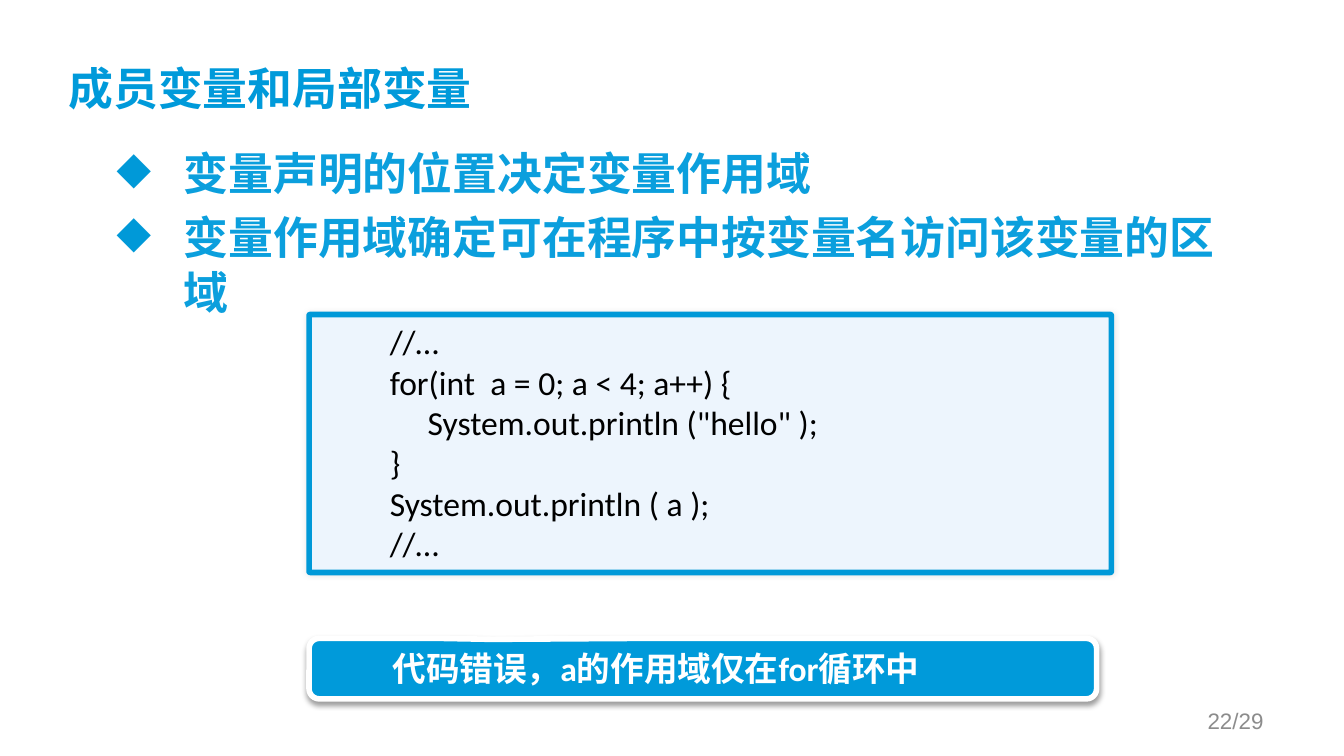
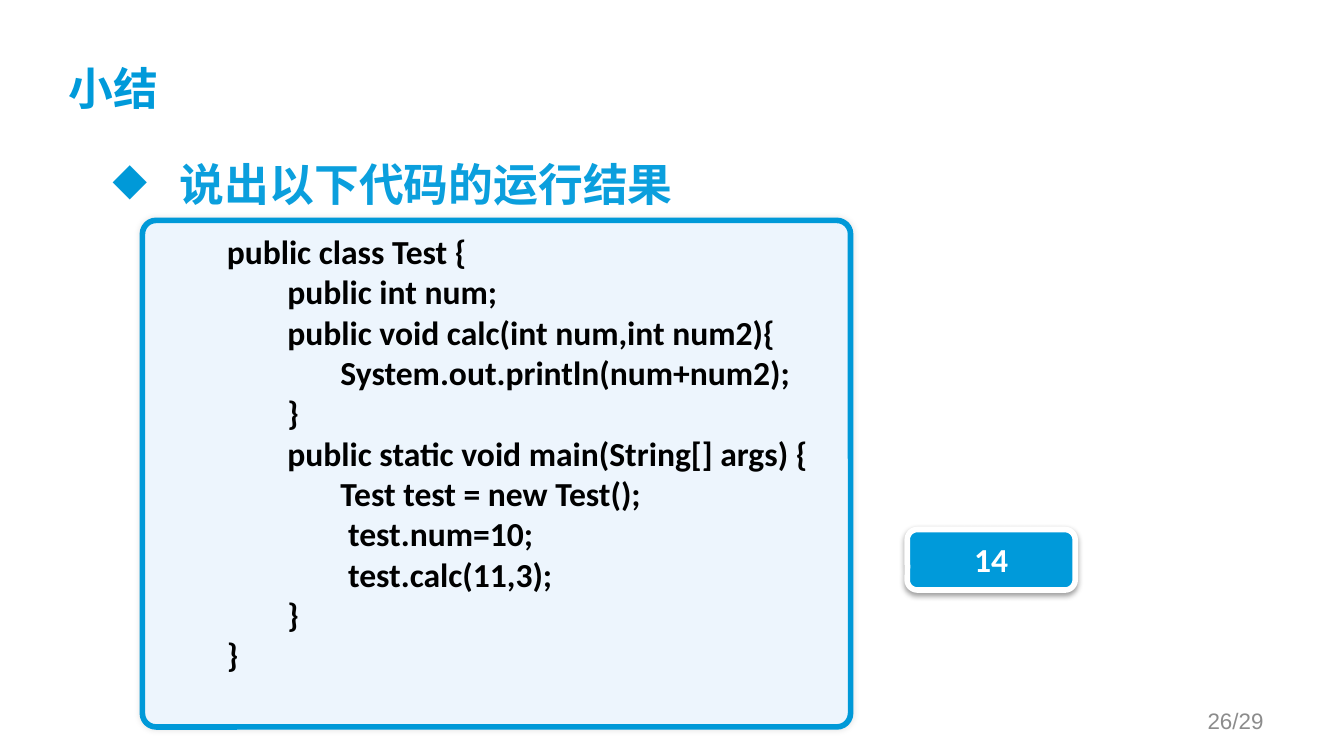
from pptx import Presentation
from pptx.dml.color import RGBColor
from pptx.enum.shapes import MSO_SHAPE
from pptx.enum.text import MSO_ANCHOR, PP_ALIGN
from pptx.oxml import parse_xml
from pptx.oxml.ns import nsdecls
from pptx.util import Pt

HUES = {"title": "009ADA", "point": "0B9FDD", "edge": "0099D8", "code": "EDF5FD",
        "ink": "000000", "white": "FFFFFF", "page": "8C8C8C"}
HAN, LATIN = "Noto Sans CJK SC", "Calibri"

# Boxes are left, top, width, height in points
SLIDES = [
    {
        "title": "成员变量和局部变量",
        "page": "22/29",
        "points": ["变量声明的位置决定变量作用域",
                   "变量作用域确定可在程序中按变量名访问该变量的区域"],
        "list": (55.4, 74.2, 611.3, 267),
        "code": """//…
for(int  a = 0; a < 4; a++) {
     System.out.println ("hello" );
}
System.out.println ( a );
//…""",
        "panel": (165.6, 168.5, 429.8, 138.2),
        "round": 0.004,
        "bold": False,
        "answer": "代码错误，a的作用域仅在for循环中",
        "badge": (165.6, 342, 421.9, 32.4),
        "tail": (-0.268, -0.484, 0.167),
        "align": PP_ALIGN.LEFT,
        "margin": 36,
    },
    {
        "title": "小结",
        "page": "26/29",
        "points": ["说出以下代码的运行结果"],
        "list": (53.3, 79.9, 611.3, 38.2),
        "code": """public class Test {
        public int num;
        public void calc(int num,int num2){
               System.out.println(num+num2);
        }
        public static void main(String[] args) {
               Test test = new Test();
                test.num=10;
                test.calc(11,3);
        }
}""",
        "panel": (76.3, 118.1, 379.4, 271.4),
        "round": 0.027,
        "bold": True,
        "answer": "14",
        "badge": (486, 283.7, 90, 32.4),
        "tail": (-0.498, 0.086, 0.167),
        "align": PP_ALIGN.CENTER,
        "margin": 0,
    },
]


def write(shape, lines, size, hue, face, bold=False, align=PP_ALIGN.LEFT,
          margin=0, bullet=False, anchor=MSO_ANCHOR.TOP):
    """Fill a shape with paragraphs of one style."""
    frame = shape.text_frame
    frame.word_wrap = True
    frame.vertical_anchor = anchor
    for i, line in enumerate(lines):
        para = frame.paragraphs[0] if i == 0 else frame.add_paragraph()
        para.add_run().text = line
        para.alignment = align
        props = para._p.get_or_add_pPr()
        props.set("marL", str(Pt(margin)))
        props.set("indent", str(Pt(-margin if bullet else 0)))
        if bullet:
            para.line_spacing = Pt(29.3)
            if i:
                para.space_before = Pt(4.8)
            props.append(parse_xml(f'<a:buClr {nsdecls("a")}><a:srgbClr val="{HUES["edge"]}"/></a:buClr>'))
            props.append(parse_xml(f'<a:buChar {nsdecls("a")} char="◆"/>'))
        font = para.font
        font.size, font.bold, font.name = Pt(size), bold, face
        font.color.rgb = RGBColor.from_string(HUES[hue])
        east = HAN if face == LATIN else face
        props.find("{*}defRPr").append(parse_xml(f'<a:ea {nsdecls("a")} typeface="{east}"/>'))


def block(slide, kind, box, tweaks, fill, edge, alpha, blur, dist):
    """Add a filled, outlined shape with a soft shadow."""
    shape = slide.shapes.add_shape(kind, *map(Pt, box))
    for i, value in enumerate(tweaks):
        shape.adjustments[i] = value
    shape.fill.solid()
    shape.fill.fore_color.rgb = RGBColor.from_string(HUES[fill])
    shape.line.color.rgb = RGBColor.from_string(HUES[edge])
    shape.line.width = Pt(3)
    shape.shadow.inherit = False
    shape._element.spPr.find("{*}effectLst").append(parse_xml(
        f'<a:outerShdw {nsdecls("a")} blurRad="{Pt(blur)}" dist="{Pt(dist)}" dir="5400000" '
        f'algn="ctr" rotWithShape="0"><a:srgbClr val="{HUES["ink"]}">'
        f'<a:alpha val="{alpha * 1000}"/></a:srgbClr></a:outerShdw>'))
    return shape


deck = Presentation()
deck.slide_width, deck.slide_height = Pt(720), Pt(405)

for item in SLIDES:
    slide = deck.slides.add_slide(deck.slide_layouts[6])

    # Bullet points
    points = slide.shapes.add_textbox(*map(Pt, item["list"]))
    write(points, item["points"], 24, "point", HAN, bold=True, margin=36, bullet=True)

    # Code panel
    panel = block(slide, MSO_SHAPE.ROUNDED_RECTANGLE, item["panel"], [item["round"]],
                  "code", "edge", 10, 3, 0)
    write(panel, item["code"].split("\n"), 18, "ink", LATIN, bold=item["bold"], margin=36)

    # Answer callout
    badge = block(slide, MSO_SHAPE.ROUNDED_RECTANGULAR_CALLOUT, item["badge"], item["tail"],
                  "title", "white", 38, 3.1, 1.6)
    write(badge, [item["answer"]], 18, "white", LATIN, bold=True,
          align=item["align"], margin=item["margin"])

    # Title
    title = slide.shapes.add_textbox(Pt(36.7), Pt(15.1), Pt(648), Pt(67.7))
    title.text_frame.margin_left = title.text_frame.margin_top = 0
    write(title, [item["title"]], 24, "title", HAN, bold=True, anchor=MSO_ANCHOR.MIDDLE)

    # Page number
    page = slide.shapes.add_textbox(Pt(516.2), Pt(375.1), Pt(167.8), Pt(21.6))
    write(page, [item["page"]], 12, "page", "Arial", align=PP_ALIGN.RIGHT,
          anchor=MSO_ANCHOR.MIDDLE)

deck.save("out.pptx")
